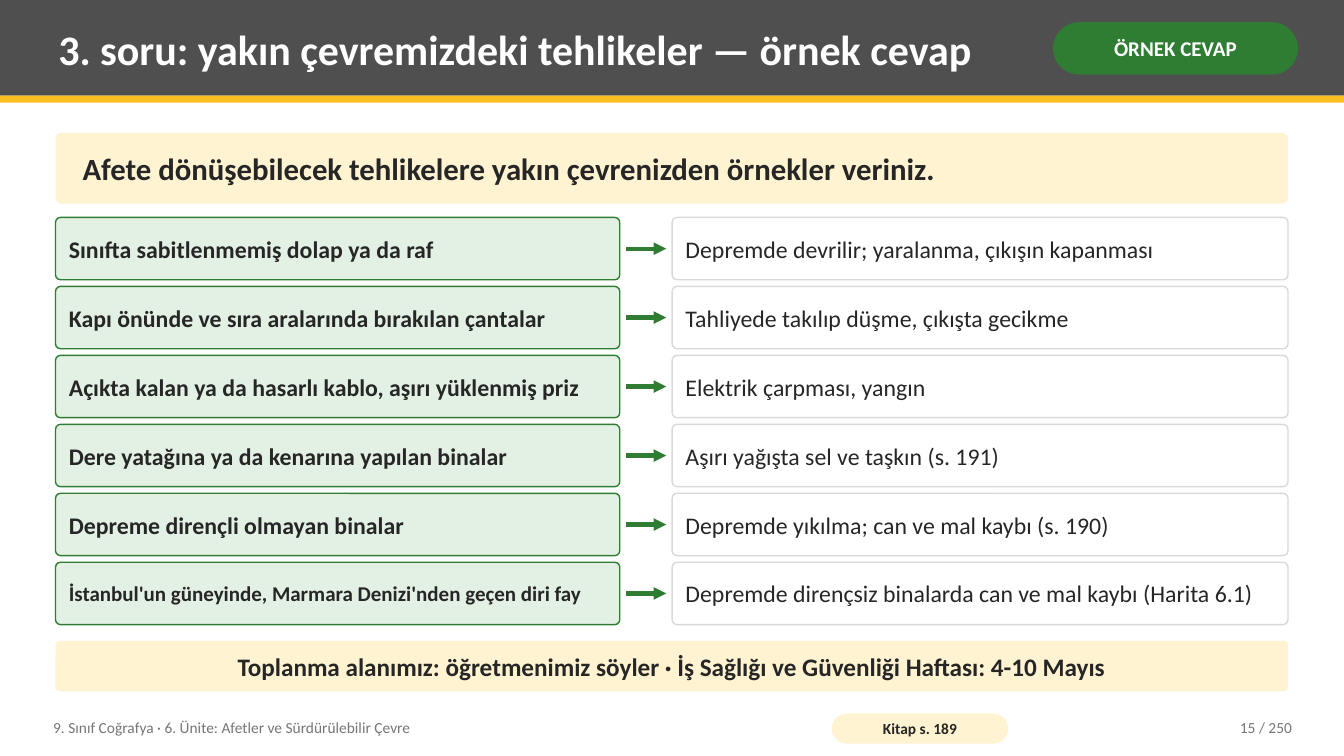
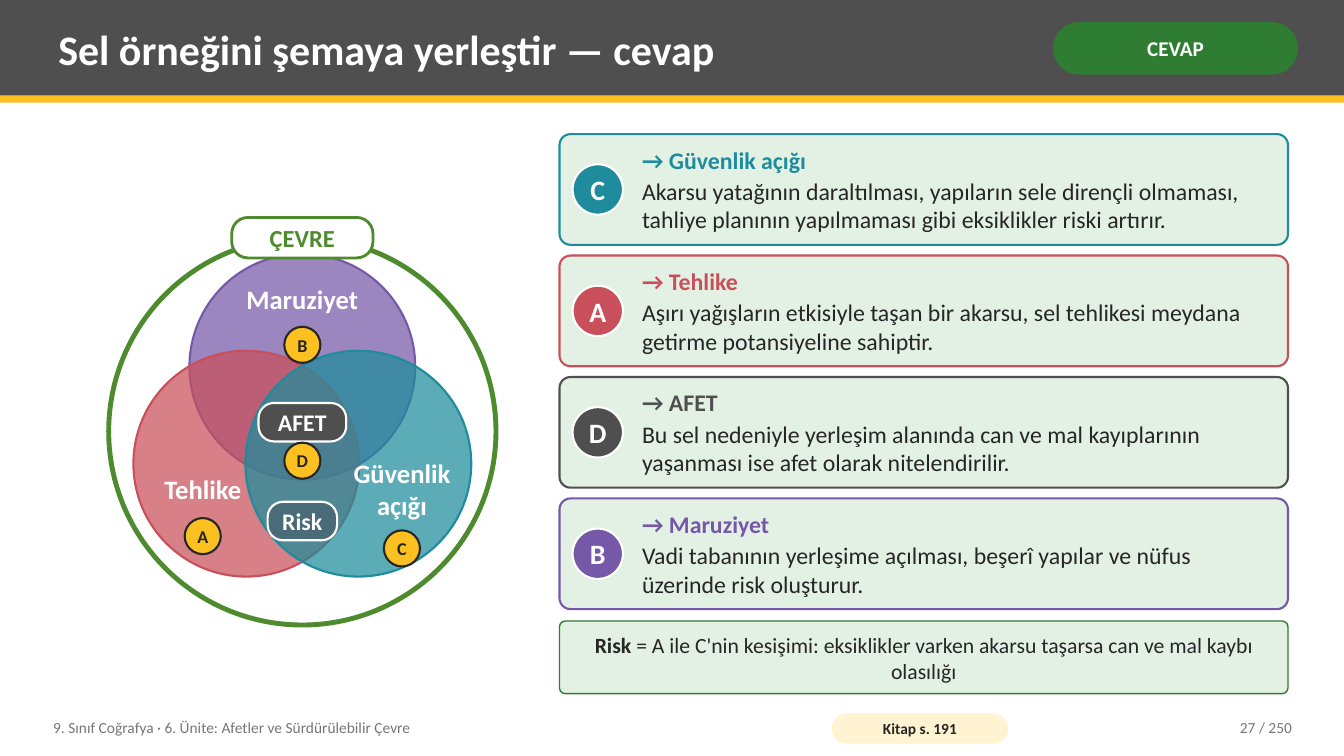
from math import cos, radians, sin
from typing import NamedTuple

from lxml.etree import SubElement
from pptx import Presentation
from pptx.dml.color import RGBColor
from pptx.enum.shapes import MSO_CONNECTOR, MSO_SHAPE
from pptx.enum.text import MSO_ANCHOR, PP_ALIGN
from pptx.oxml.ns import qn
from pptx.util import Cm, Pt

FONT = "Calibri"
WHITE = RGBColor(0xFF, 0xFF, 0xFF)
INK = RGBColor(0x26, 0x26, 0x26)
CHARCOAL = RGBColor(0x4F, 0x4F, 0x4F)
MUTED = RGBColor(0x76, 0x76, 0x76)
BORDER = RGBColor(0xD9, 0xD9, 0xD9)
AMBER = RGBColor(0xFC, 0xC0, 0x21)
CREAM = RGBColor(0xFF, 0xF3, 0xD1)
GREEN = RGBColor(0x2E, 0x7D, 0x32)
MINT = RGBColor(0xE3, 0xF1, 0xE4)
LEAF = RGBColor(0x4E, 0x8A, 0x2E)
PURPLE = RGBColor(0x75, 0x58, 0xA8)
RED = RGBColor(0xC9, 0x4F, 0x5A)
TEAL = RGBColor(0x1E, 0x8C, 0x9C)
SLATE = RGBColor(0x4A, 0x6B, 0x78)

RECT, ROUND, OVAL = MSO_SHAPE.RECTANGLE, MSO_SHAPE.ROUNDED_RECTANGLE, MSO_SHAPE.OVAL
LEFT, CENTER, RIGHT = PP_ALIGN.LEFT, PP_ALIGN.CENTER, PP_ALIGN.RIGHT

SLIDE_W, SLIDE_H = 33.87, 19.05
COURSE = "9. Sınıf Coğrafya · 6. Ünite: Afetler ve Sürdürülebilir Çevre"
PAGE_COUNT = 250


class Box(NamedTuple):
    """A rectangle in centimetres."""
    x: float
    y: float
    w: float
    h: float

    def lengths(self):
        return [Cm(v) for v in self]


def centred(cx, cy, w, h):
    return Box(cx - w / 2, cy - h / 2, w, h)


class Run(NamedTuple):
    text: str
    size: float
    color: RGBColor = INK
    bold: bool = True


def draw(slide, kind, box, fill, line=None, width=1, radius=None, alpha=None):
    sp = slide.shapes.add_shape(kind, *box.lengths())
    sp.shadow.inherit = False
    sp.fill.solid()
    sp.fill.fore_color.rgb = fill
    if alpha is not None:
        color = sp.fill._xPr.find(qn("a:solidFill"))[0]
        SubElement(color, qn("a:alpha")).set("val", str(alpha * 1000))
    if line is None:
        sp.line.fill.background()
    else:
        sp.line.color.rgb = line
        sp.line.width = Pt(width)
    if radius is not None:
        sp.adjustments[0] = radius
    return sp


def write(sp, *paragraphs, align=LEFT, inset=(0.2, 0.1), wrap=True, gap=0):
    """Fill a shape with paragraphs, each one a list of runs."""
    tf = sp.text_frame
    tf.word_wrap = wrap
    tf.vertical_anchor = MSO_ANCHOR.MIDDLE
    tf.margin_left = tf.margin_right = Cm(inset[0])
    tf.margin_top = tf.margin_bottom = Cm(inset[1])
    for i, runs in enumerate(paragraphs):
        p = tf.paragraphs[0] if i == 0 else tf.add_paragraph()
        p.alignment = align
        if i < len(paragraphs) - 1:
            p.space_after = Pt(gap)
        for run in runs:
            r = p.add_run()
            r.text = run.text
            r.font.name = FONT
            r.font.size = Pt(run.size)
            r.font.bold = run.bold
            r.font.color.rgb = run.color


def label(slide, box, *paragraphs, **style):
    write(slide.shapes.add_textbox(*box.lengths()), *paragraphs, **style)


def arrow(slide, x1, x2, y):
    line = slide.shapes.add_connector(
        MSO_CONNECTOR.STRAIGHT, Cm(x1), Cm(y), Cm(x2), Cm(y))
    line.line.color.rgb = GREEN
    line.line.width = Pt(3)
    SubElement(line.line._get_or_add_ln(), qn("a:tailEnd")).set("type", "triangle")
    SubElement(line._element.spPr, qn("a:effectLst"))


def letter_disc(slide, box, letter, size, fill, line, color):
    sp = draw(slide, OVAL, box, fill, line, 1.5)
    write(sp, [Run(letter, size, color)], align=CENTER, inset=(0, 0), wrap=False)


def header(slide, title, badge):
    draw(slide, RECT, Box(0, 0, SLIDE_W, 2.41), CHARCOAL)
    draw(slide, RECT, Box(0, 2.41, SLIDE_W, 0.18), AMBER)
    label(slide, Box(1.27, 0.18, 24.77, 2.08), [Run(title, 30, WHITE)])
    sp = draw(slide, ROUND, Box(26.54, 0.56, 6.17, 1.32), GREEN, radius=0.5)
    write(sp, [Run(badge, 15, WHITE)], align=CENTER, inset=(0.13, 0.05))


def footer(slide, book_page, number):
    label(slide, Box(1.14, 17.88, 19.3, 0.91), [Run(COURSE, 11, MUTED, False)])
    sp = draw(slide, ROUND, Box(20.96, 17.98, 4.45, 0.76), CREAM, radius=0.5)
    write(sp, [Run(f"Kitap s. {book_page}", 11)], align=CENTER, inset=(0.1, 0))
    label(slide, Box(28.7, 17.88, 4.06, 0.91),
          [Run(f"{number} / {PAGE_COUNT}", 11, MUTED, False)], align=RIGHT)


def panel(slide, box, runs, fill, line=None, align=LEFT, pad=0.36):
    sp = draw(slide, ROUND, box, fill, line, radius=0.08)
    write(sp, runs, align=align, inset=(pad, 0.2))


def hazard_rows(slide, box, rows):
    """Rows of hazard, arrow and consequence, evenly spread over the box."""
    row_h, hazard_w, gutter, clearance = 1.57, 14.22, 1.32, 0.15
    pitch = (box.h - row_h) / (len(rows) - 1)
    effect_x = box.x + hazard_w + gutter
    for i, (hazard, size, effect) in enumerate(rows):
        y = box.y + i * pitch
        panel(slide, Box(box.x, y, hazard_w, row_h), [Run(hazard, size)],
              MINT, GREEN, pad=0.3)
        arrow(slide, box.x + hazard_w + clearance, effect_x - clearance, y + row_h / 2)
        panel(slide, Box(effect_x, y, box.x + box.w - effect_x, row_h),
              [Run(effect, 17, bold=False)], WHITE, BORDER, pad=0.3)


def risk_diagram(slide, box):
    """Three overlapping circles inside the environment ring that fills the box."""
    cx, cy = box.x + box.w / 2, box.y + box.h / 2
    draw(slide, OVAL, box, WHITE, LEAF, 3.5)

    spread, circle_d = 1.63, 5.69
    for angle, color in ((-90, PURPLE), (150, RED), (30, TEAL)):
        a = radians(angle)
        circle = centred(cx + spread * cos(a), cy + spread * sin(a), circle_d, circle_d)
        draw(slide, OVAL, circle, color, color, 1.5, alpha=72)

    side = 2.51
    for text, dx, dy, w, h in (
        ("Maruziyet", 0, -3.34, 4.27, 1.19),
        ("Tehlike", -side, 1.46, 2.69, 1.19),
        ("Güvenlik açığı", side, 1.44, 2.69, 1.75),
    ):
        label(slide, centred(cx + dx, cy + dy, w, h), [Run(text, 19, WHITE)],
              align=CENTER, inset=(0.05, 0))

    for text, size, dy, w, h, fill, line, width, color in (
        ("Risk", 17, 2.26, 1.75, 0.97, SLATE, WHITE, 1.5, WHITE),
        ("AFET", 17, -0.23, 2.21, 0.97, CHARCOAL, WHITE, 1.5, WHITE),
        ("ÇEVRE", 17.5, -box.h / 2, 3.56, 1.02, WHITE, LEAF, 2, LEAF),
    ):
        sp = draw(slide, ROUND, centred(cx, cy + dy, w, h), fill, line, width, 0.4)
        write(sp, [Run(text, size, color)], align=CENTER, inset=(0.05, 0))

    for letter, dx, dy in (("A", -side, 2.64), ("B", 0, -2.18),
                           ("C", side, 2.95), ("D", 0, 0.74)):
        letter_disc(slide, centred(cx + dx, cy + dy, 0.91, 0.91),
                    letter, 12.9, AMBER, INK, INK)


def answer_card(slide, box, letter, term, text, color):
    disc_d, text_x = 1.27, 1.83
    draw(slide, ROUND, box, MINT, color, 1.5, 0.1)
    letter_disc(slide, Box(box.x + 0.33, box.y + (box.h - disc_d) / 2, disc_d, disc_d),
                letter, 20, color, WHITE, WHITE)
    label(slide, Box(box.x + text_x, box.y, box.w - text_x - 0.2, box.h),
          [Run(f"→ {term}", 17, color)], [Run(text, 17, bold=False)],
          inset=(0.25, 0.1), gap=2)


def answer_cards(slide, box, cards):
    card_h = 2.79
    pitch = (box.h - card_h) / (len(cards) - 1)
    for i, card in enumerate(cards):
        answer_card(slide, Box(box.x, box.y + i * pitch, box.w, card_h), *card)


def hazards_slide(slide):
    header(slide, "3. soru: yakın çevremizdeki tehlikeler — örnek cevap", "ÖRNEK CEVAP")
    x, w = 1.4, 31.06
    panel(slide, Box(x, 3.35, w, 1.78),
          [Run("Afete dönüşebilecek tehlikelere yakın çevrenizden örnekler veriniz.", 22)],
          CREAM, pad=0.64)
    hazard_rows(slide, Box(x, 5.48, w, 10.26), [
        ("Sınıfta sabitlenmemiş dolap ya da raf", 17,
         "Depremde devrilir; yaralanma, çıkışın kapanması"),
        ("Kapı önünde ve sıra aralarında bırakılan çantalar", 17,
         "Tahliyede takılıp düşme, çıkışta gecikme"),
        ("Açıkta kalan ya da hasarlı kablo, aşırı yüklenmiş priz", 17,
         "Elektrik çarpması, yangın"),
        ("Dere yatağına ya da kenarına yapılan binalar", 17,
         "Aşırı yağışta sel ve taşkın (s. 191)"),
        ("Depreme dirençli olmayan binalar", 17,
         "Depremde yıkılma; can ve mal kaybı (s. 190)"),
        ("İstanbul'un güneyinde, Marmara Denizi'nden geçen diri fay", 15,
         "Depremde dirençsiz binalarda can ve mal kaybı (Harita 6.1)"),
    ])
    panel(slide, Box(x, 16.15, w, 1.27),
          [Run("Toplanma alanımız: öğretmenimiz söyler · "
               "İş Sağlığı ve Güvenliği Haftası: 4-10 Mayıs", 18)],
          CREAM, align=CENTER)
    footer(slide, 189, 15)


def flood_slide(slide):
    header(slide, "Sel örneğini şemaya yerleştir — cevap", "CEVAP")
    risk_diagram(slide, Box(2.74, 5.99, 9.76, 9.76))
    x, w = 14.1, 18.36
    answer_cards(slide, Box(x, 3.38, w, 11.97), [
        ("C", "Güvenlik açığı",
         "Akarsu yatağının daraltılması, yapıların sele dirençli olmaması, "
         "tahliye planının yapılmaması gibi eksiklikler riski artırır.", TEAL),
        ("A", "Tehlike",
         "Aşırı yağışların etkisiyle taşan bir akarsu, sel tehlikesi meydana "
         "getirme potansiyeline sahiptir.", RED),
        ("D", "AFET",
         "Bu sel nedeniyle yerleşim alanında can ve mal kayıplarının "
         "yaşanması ise afet olarak nitelendirilir.", CHARCOAL),
        ("B", "Maruziyet",
         "Vadi tabanının yerleşime açılması, beşerî yapılar ve nüfus "
         "üzerinde risk oluşturur.", PURPLE),
    ])
    panel(slide, Box(x, 15.65, w, 1.83),
          [Run("Risk", 15.5),
           Run(" = A ile C'nin kesişimi: eksiklikler varken akarsu taşarsa "
               "can ve mal kaybı olasılığı", 15.5, bold=False)],
          MINT, GREEN, CENTER)
    footer(slide, 191, 27)


def main():
    prs = Presentation()
    prs.slide_width, prs.slide_height = Cm(SLIDE_W), Cm(SLIDE_H)
    blank = prs.slide_layouts[6]
    for build in (hazards_slide, flood_slide):
        build(prs.slides.add_slide(blank))
    prs.save("out.pptx")


if __name__ == "__main__":
    main()
